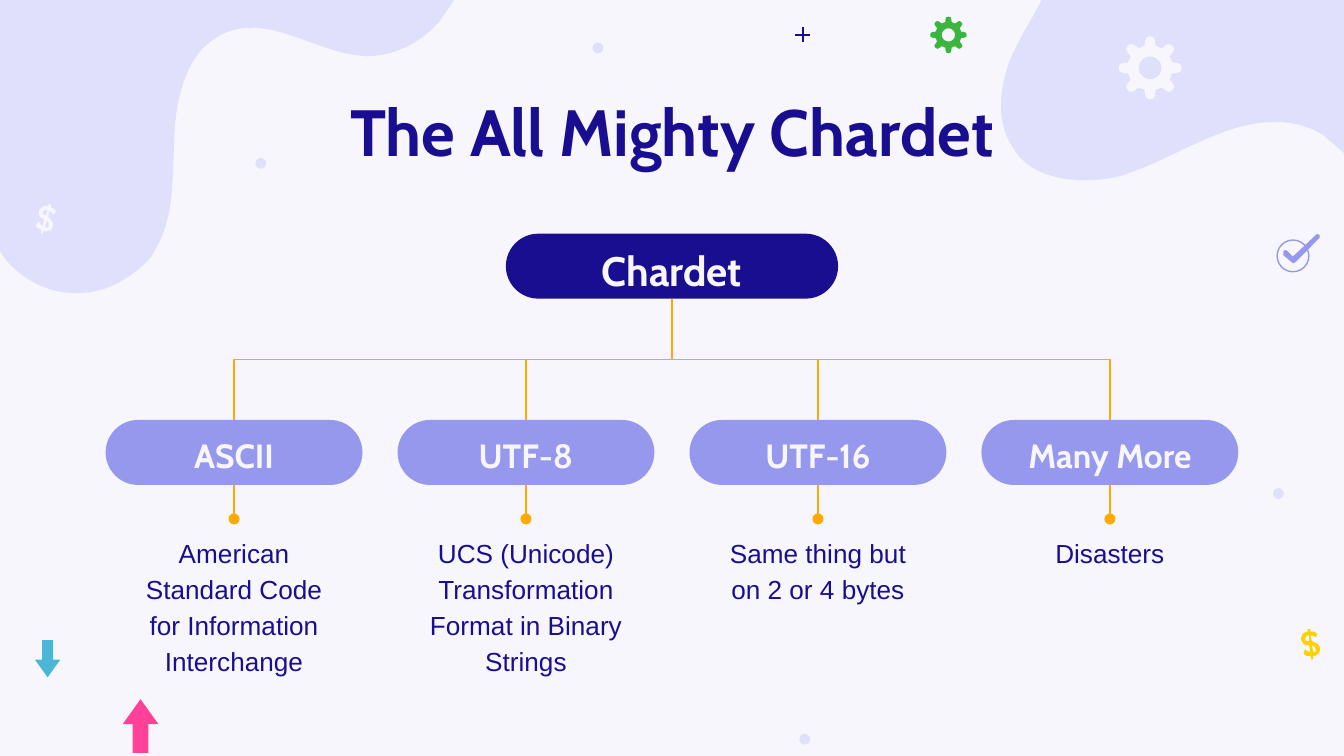
from math import cos, pi, radians, sin

from lxml import etree
from pptx import Presentation
from pptx.dml.color import RGBColor
from pptx.enum.shapes import MSO_CONNECTOR, MSO_SHAPE
from pptx.enum.text import MSO_ANCHOR, MSO_AUTO_SIZE, PP_ALIGN
from pptx.oxml.ns import qn
from pptx.util import Pt

STRAIGHT, ELBOW = MSO_CONNECTOR.STRAIGHT, MSO_CONNECTOR.ELBOW
OVAL, PILL = MSO_SHAPE.OVAL, MSO_SHAPE.ROUNDED_RECTANGLE
UP_ARROW, DOWN_ARROW = MSO_SHAPE.UP_ARROW, MSO_SHAPE.DOWN_ARROW
TOP, MIDDLE = MSO_ANCHOR.TOP, MSO_ANCHOR.MIDDLE
CENTER, NO_AUTOFIT = PP_ALIGN.CENTER, MSO_AUTO_SIZE.NONE

NAVY, PALE, LILAC, VIOLET = "1A0E90", "F6F6FC", "E0E0FD", "9698ED"
ORANGE, YELLOW, GREEN, PINK, BLUE = "FFAA00", "FFD000", "3AB53D", "FF4298", "4AB7D6"


def paint(part, color):
    """Give a fill or a line format one solid colour."""
    target = part.fill if hasattr(part, "fill") else part
    target.solid()
    target.fore_color.rgb = RGBColor.from_string(color)


def write(box, text, anchor, font):
    """Put one centred paragraph into a box; font holds name, size, bold and colour."""
    frame = box.text_frame
    frame_format = {"word_wrap": True, "auto_size": NO_AUTOFIT, "vertical_anchor": anchor}
    frame_format.update({f"margin_{side}": Pt(7.2) for side in ("left", "top", "right", "bottom")})
    for name, value in frame_format.items():
        setattr(frame, name, value)
    para = frame.paragraphs[0]
    para.alignment, para.line_spacing = CENTER, 1.15
    span = para.add_run()
    span.text = text
    for name, value in font.items():
        if name == "color":
            paint(span.font, value)
        else:
            setattr(span.font, name, value)


deck = Presentation()
deck.slide_width, deck.slide_height = Pt(720), Pt(405)
page = deck.slides.add_slide(deck.slide_layouts[5])
shapes = page.shapes
paint(page.background, PALE)

# Outlines: a pair is a straight step, six numbers are a Bézier curve
left_blob = [
    (0, 0), (0, 134.6), (2.9, 139), (13, 151.2, 28.8, 158.4, 44.6, 157),
    (57.6, 156.2, 69.8, 149, 78.5, 140.4), (80.6, 138.2, 82.1, 136.1, 83.5, 133.2),
    (94.3, 115.2, 92.2, 91.4, 93.6, 69.8), (94.3, 54.7, 98.6, 37.4, 108, 26.6),
    (112.3, 22.3, 117.4, 18.7, 123.1, 16.6), (146.9, 8.6, 171.4, 29.5, 196.6, 30.2),
    (211, 30.2, 225.4, 23, 235.4, 11.5), (243.4, 0),
]
right_blob = [
    (558, 0), (553, 10, 545.8, 20.9, 540.7, 33.1), (535, 49, 533.5, 67, 543.6, 80.6),
    (546.5, 85, 550.1, 87.8, 554.4, 90.7), (566.6, 97.2, 583.2, 97.9, 597.6, 95),
    (616.3, 90, 633.6, 79.2, 652.3, 72), (669.6, 64.8, 691.2, 61.9, 707, 71.3),
    (709.2, 72.7), (720, 82.1), (720, 0),
]
tick = [
    (692.6, 137.5), (689.8, 134.6), (688.7, 133.9), (687.6, 134.6), (687.6, 136.8),
    (691.9, 140.4), (693, 141.1), (694.1, 140.4), (707, 127.4), (707, 126),
    (705.6, 125.3), (704.9, 126),
]
dollar = [
    [(5, 0), (3.6, 0), (3.6, 1.4), (2.9, 1.4, 1.4, 2.2, 0.7, 2.9),
     (0.7, 3.6, 0, 4.3, 0, 5.8), (0.7, 6.5, 0.7, 7.2, 1.4, 7.9),
     (2.2, 8.6, 3.6, 8.6, 4.3, 8.6), (5, 12.2), (3.6, 12.2, 2.9, 11.5, 2.2, 10.8),
     (1.4, 13), (1.4, 13.7, 2.2, 13.7, 2.9, 14.4), (5, 14.4), (5.8, 16.6), (6.5, 15.8),
     (6.5, 14.4), (7.9, 14.4, 8.6, 13.7, 9.4, 13), (10.1, 12.2, 10.1, 11.5, 10.1, 10.1),
     (10.1, 9.4, 9.4, 8.6, 8.6, 7.9), (7.9, 7.2, 7.2, 7.2, 5.8, 6.5), (5, 3.6),
     (6.5, 3.6), (7.2, 3.6, 7.2, 4.3, 7.9, 4.3), (8.6, 2.9),
     (8.6, 2.2, 7.9, 2.2, 7.2, 1.4), (5, 1.4)],
    [(4.3, 3.6), (4.3, 6.5), (2.9, 6.5), (2.2, 5.8), (2.2, 5), (2.9, 3.6)],
    [(5.8, 8.6), (7.2, 9.4), (7.9, 10.8), (7.9, 12.2), (6.5, 12.2)],
]
tooth = [(-14, 0.72), (-11, 0.85), (-7, 0.97), (0, 1), (7, 0.97), (11, 0.85), (14, 0.72)]
gear = [
    [(r * cos(radians(45 * i + a)), r * sin(radians(45 * i + a))) for i in range(8) for a, r in tooth],
    [(0.36 * cos(pi * i / 16), -0.36 * sin(pi * i / 16)) for i in range(32)],
]

# Contours, colour, left, top, scale, rotation
outlines = [
    ([left_blob], LILAC, 0, 0, 1, 0),
    ([right_blob], LILAC, 0, 0, 1, 0),
    (gear, PALE, 616.2, 36.4, 16.9, 0),
    (gear, GREEN, 508.1, 18.7, 9.8, 0),
    (dollar, YELLOW, 697, 337, 1, 0),
    (dollar, PALE, 19.4, 109.2, 1, 23),
    ([tick], VIOLET, 0, 0, 1, 0),
]
for contours, color, left, top, scale, rotation in outlines:
    builder = None
    for contour in contours:
        points = []
        for step in contour:
            if len(step) == 2:
                points.append(step)
                continue
            x0, y0 = points[-1]
            x1, y1, x2, y2, x3, y3 = step
            for t in (i / 10 for i in range(1, 11)):
                a, b, c, d = (1 - t) ** 3, 3 * t * (1 - t) ** 2, 3 * t * t * (1 - t), t ** 3
                points.append((a * x0 + b * x1 + c * x2 + d * x3, a * y0 + b * y1 + c * y2 + d * y3))
        placed = [(Pt(left + x * scale), Pt(top + y * scale)) for x, y in points]
        if builder is None:
            builder = shapes.build_freeform(*placed[0])
        else:
            builder.move_to(*placed[0])
        builder.add_line_segments(placed[1:], close=True)
    shape = builder.convert_to_shape()
    shape.rotation = rotation
    shape.shadow.inherit = False
    paint(shape, color)
    shape.line.fill.background()

# Dots, arrows and the ring around the tick
ornaments = [(OVAL, x, y, 5.8, 5.8, LILAC, ())
             for x, y in [(682, 261.5), (428.2, 393.1), (317.4, 22.8), (136.8, 84.6)]]
ornaments += [
    (UP_ARROW, 65.7, 374.6, 19.2, 28.8, PINK, (0.44, 0.7)),
    (DOWN_ARROW, 18.8, 342.9, 13.5, 20, BLUE, (0.44, 0.7)),
    (OVAL, 684.2, 128.6, 17, 17, None, ()),
]
for kind, left, top, width, height, color, adjustments in ornaments:
    shape = shapes.add_shape(kind, Pt(left), Pt(top), Pt(width), Pt(height))
    shape.shadow.inherit = False
    for i, value in enumerate(adjustments):
        shape.adjustments[i] = value
    if color:
        paint(shape, color)
        shape.line.fill.background()
    else:
        shape.fill.background()
        paint(shape.line, VIOLET)
        shape.line.width = Pt(0.75)

# Plus sign
lines = []
for ends in [(426, 18.8, 434.2, 18.8), (430.1, 22.6, 430.1, 14.6)]:
    lines.append((shapes.add_connector(STRAIGHT, *map(Pt, ends)), NAVY, 0.78))

# Title
title = shapes.title
title.left, title.top, title.width, title.height = Pt(56.7), Pt(35.3), Pt(606.6), Pt(45.4)
write(title, "The All Mighty Chardet", TOP,
      {"name": "Cabin", "size": Pt(35), "bold": True, "color": NAVY})

# Tree: a root pill and four branches at equal steps
branches = [
    ("ASCII", "American Standard Code for Information Interchange"),
    ("UTF-8", "UCS (Unicode) Transformation Format in Binary Strings"),
    ("UTF-16", "Same thing but on 2 or 4 bytes"),
    ("Many More", "Disasters"),
]
root_x, root_bottom, branch_top, pill_height = 360, 160, 225, 34.8
centers = [root_x + (i - 1.5) * 156.4 for i in range(len(branches))]
pills = [("Chardet", root_x, root_bottom - pill_height, 178, 22, NAVY)]
pills += [(name, x, branch_top, 137.6, 18, VIOLET) for x, (name, _) in zip(centers, branches)]
pill_shapes = []
for name, x, top, width, size, color in pills:
    pill = shapes.add_shape(PILL, Pt(x - width / 2), Pt(top), Pt(width), Pt(pill_height))
    pill.adjustments[0] = 0.5
    pill.shadow.inherit = False
    paint(pill, color)
    pill.line.fill.background()
    write(pill, name, MIDDLE, {"name": "Cabin", "size": Pt(size), "bold": True, "color": PALE})
    pill_shapes.append(pill)

stubs = []
for x, pill, (_, description) in zip(centers, pill_shapes[1:], branches):
    # Elbow laid out sideways, then turned a quarter so that it leaves the root downwards
    middle_x, middle_y = (root_x + x) / 2, (root_bottom + branch_top) / 2
    half_drop, half_span = (branch_top - root_bottom) / 2, (root_x - x) / 2
    elbow = shapes.add_connector(ELBOW, Pt(middle_x - half_drop), Pt(middle_y - half_span),
                                 Pt(middle_x + half_drop), Pt(middle_y + half_span))
    elbow._element.spPr.find(qn("a:xfrm")).set("rot", "5400000")
    stub = shapes.add_connector(STRAIGHT, Pt(x), Pt(branch_top + pill_height), Pt(x), Pt(278))
    stub.begin_connect(pill, 2)
    stubs.append(stub)
    lines += [(elbow, ORANGE, 0.75), (stub, ORANGE, 0.75)]
    box = shapes.add_textbox(Pt(x - 60.4), Pt(278), Pt(120.8), Pt(52.6))
    write(box, description, TOP, {"name": "Arial", "size": Pt(14), "color": NAVY})

# Line colours, no shadows, round ends on the stubs
for line, color, width in lines:
    paint(line.line, color)
    line.line.width = Pt(width)
    etree.SubElement(line._element.spPr, qn("a:effectLst"))
for stub in stubs:
    etree.SubElement(stub.line._get_or_add_ln(), qn("a:tailEnd"), type="oval")

deck.save("out.pptx")
